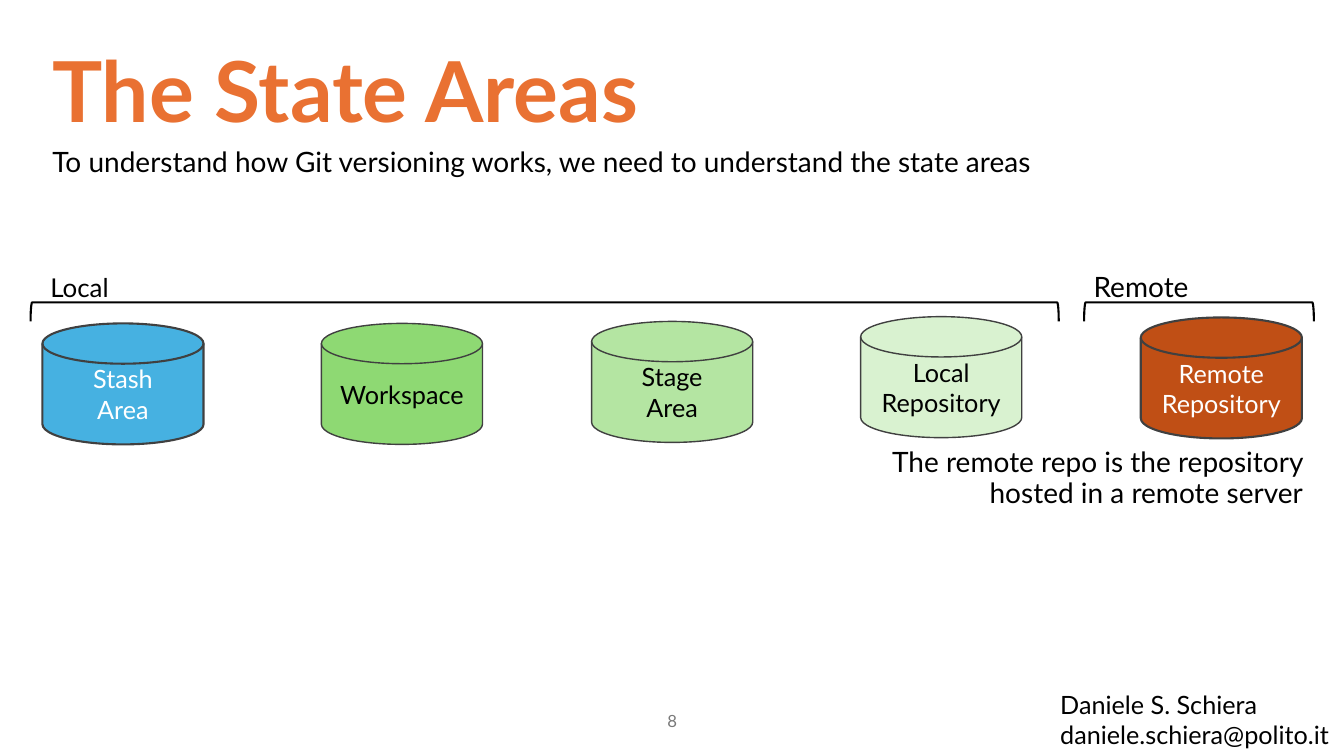
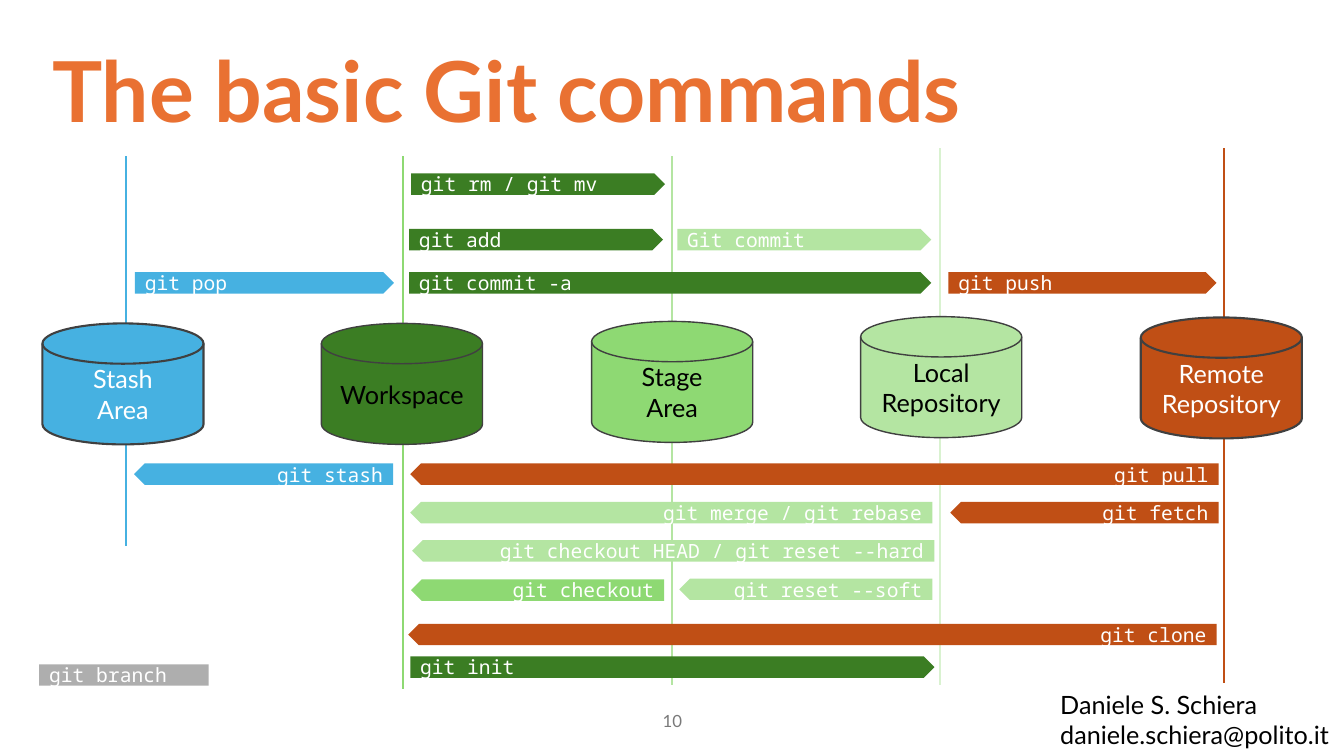
from lxml.etree import SubElement
from pptx import Presentation
from pptx.dml.color import RGBColor
from pptx.enum.shapes import MSO_CONNECTOR, MSO_SHAPE
from pptx.enum.text import MSO_ANCHOR, PP_ALIGN
from pptx.oxml.ns import qn
from pptx.util import Cm, Pt

# Colours
ORANGE = RGBColor(0xE9, 0x71, 0x32)
BLACK = RGBColor(0x00, 0x00, 0x00)
WHITE = RGBColor(0xFF, 0xFF, 0xFF)
GREY = RGBColor(0x79, 0x79, 0x79)
SILVER = RGBColor(0xAE, 0xAE, 0xAE)
CHARCOAL = RGBColor(0x40, 0x40, 0x40)
BLUE = RGBColor(0x46, 0xB1, 0xE1)
RUST = RGBColor(0xC0, 0x4F, 0x15)
DARK_GREEN = RGBColor(0x3B, 0x7D, 0x23)
GREEN = RGBColor(0x8E, 0xD9, 0x73)
LIGHT_GREEN = RGBColor(0xB4, 0xE5, 0xA2)
PALE_GREEN = RGBColor(0xD9, 0xF2, 0xD0)

# State areas: label, left, top, text colour, outline width
AREAS = [
    ("Stash\nArea", 1.07, 8.15, WHITE, 1.5),
    ("Workspace", 8.1, 8.15, BLACK, 1),
    ("Stage\nArea", 14.91, 8.1, BLACK, 1),
    ("Local\nRepository", 21.69, 7.98, BLACK, 1),
    ("Remote\nRepository", 28.75, 8, WHITE, 1.5),
]

# Lifelines: x, top, bottom, colour
LIFELINES = [
    (16.94, 3.94, 17.25, LIGHT_GREEN),
    (3.18, 3.94, 13.77, BLUE),
    (10.16, 3.94, 17.35, GREEN),
    (30.84, 3.73, 17.22, RUST),
    (23.7, 3.73, 17.25, PALE_GREEN),
]

# Commands: text, left, top, width, colour
FORWARD_COMMANDS = [
    ("git add", 10.31, 5.77, 6.4, DARK_GREEN),
    ("git rm / git mv", 10.36, 4.37, 6.4, DARK_GREEN),
    ("Git commit", 17.07, 5.77, 6.4, LIGHT_GREEN),
    ("git commit -a", 10.31, 6.86, 13.16, DARK_GREEN),
    ("git push", 23.9, 6.86, 6.76, RUST),
    ("git pop", 3.4, 6.86, 6.53, BLUE),
    ("git init", 10.34, 16.54, 13.21, DARK_GREEN),
]
BACKWARD_COMMANDS = [
    ("git fetch", 23.95, 12.65, 6.76, RUST),
    ("git pull", 10.34, 11.68, 20.37, RUST),
    ("git merge / git rebase", 10.34, 12.65, 13.16, LIGHT_GREEN),
    ("git checkout HEAD / git reset --hard", 10.39, 13.61, 13.16, LIGHT_GREEN),
    ("git reset --soft", 17.12, 14.58, 6.38, LIGHT_GREEN),
    ("git checkout", 10.36, 14.6, 6.38, GREEN),
    ("git stash", 3.38, 11.68, 6.53, BLUE),
    ("git clone", 10.29, 15.72, 20.37, RUST),
]


class Lecture:
    """Holds the deck style and the slide being filled."""

    font = "Lato"
    code_font = "Noto Sans Mono"

    def __init__(self):
        self.deck = Presentation()
        self.deck.slide_width = Cm(33.87)
        self.deck.slide_height = Cm(19.05)
        self.page = None

    def new_page(self):
        self.page = self.deck.slides.add_slide(self.deck.slide_layouts[6])

    def set_text(self, shape, text, size, color, align=PP_ALIGN.LEFT,
                 anchor=MSO_ANCHOR.TOP, font=font, bold=False, spacing=1.0):
        frame = shape.text_frame
        frame.word_wrap = True
        frame.vertical_anchor = anchor
        frame.text = text
        for paragraph in frame.paragraphs:
            paragraph.alignment = align
            paragraph.line_spacing = spacing
            paragraph.font.name = font
            paragraph.font.size = Pt(size)
            paragraph.font.bold = bold
            paragraph.font.color.rgb = color

    def text(self, text, left, top, width, height, size=20, color=BLACK, **style):
        box = self.page.shapes.add_textbox(Cm(left), Cm(top), Cm(width), Cm(height))
        self.set_text(box, text, size, color, **style)

    def frame(self, title, number):
        """Title, contact and page number."""
        self.text(title, 1.07, 1.09, 30.73, 2.64, 60, ORANGE, bold=True,
                  anchor=MSO_ANCHOR.MIDDLE, spacing=0.9)
        self.text("Daniele S. Schiera\ndaniele.schiera@polito.it",
                  26.47, 17.25, 7.42, 1.8, 18)
        self.text(str(number), 16.31, 17.65, 1.27, 1.02, 12, GREY,
                  align=PP_ALIGN.CENTER, anchor=MSO_ANCHOR.MIDDLE)

    def shape(self, kind, left, top, width, height, fill=None, line=None, weight=1):
        shape = self.page.shapes.add_shape(
            kind, Cm(left), Cm(top), Cm(width), Cm(height))
        shape.shadow.inherit = False
        if fill is None:
            shape.fill.background()
        else:
            shape.fill.solid()
            shape.fill.fore_color.rgb = fill
        if line is None:
            shape.line.fill.background()
        else:
            shape.line.color.rgb = line
            shape.line.width = Pt(weight)
        return shape

    def areas(self, fills):
        for (label, left, top, ink, weight), fill in zip(AREAS, fills):
            disk = self.shape(MSO_SHAPE.FLOWCHART_MAGNETIC_DISK, left, top,
                              4.06, 3.05, fill, CHARCOAL, weight)
            self.set_text(disk, label, 18, ink, PP_ALIGN.CENTER, MSO_ANCHOR.MIDDLE)

    def bracket(self, left, right, top=7.62, depth=0.48):
        """A bracket lying on its side, open downwards."""
        span = right - left
        bracket = self.shape(
            MSO_SHAPE.LEFT_BRACKET, (left + right - depth) / 2,
            top + (depth - span) / 2, depth, span, line=BLACK, weight=1.5)
        bracket.rotation = 90

    def lifeline(self, x, top, bottom, color):
        line = self.page.shapes.add_connector(
            MSO_CONNECTOR.STRAIGHT, Cm(x), Cm(top), Cm(x), Cm(bottom))
        line.line.color.rgb = color
        line.line.width = Pt(1.5)
        SubElement(line._element.spPr, qn("a:effectLst"))

    def command(self, text, left, top, width, fill, backward=False):
        arrow = self.shape(MSO_SHAPE.PENTAGON, left, top, width, 0.54, fill)
        if backward:
            arrow._element.spPr.xfrm.set("flipH", "1")
        self.set_text(arrow, text, 14, WHITE,
                      PP_ALIGN.RIGHT if backward else PP_ALIGN.LEFT,
                      MSO_ANCHOR.MIDDLE, self.code_font)
        return arrow


def state_areas(lecture):
    lecture.new_page()
    lecture.frame("The State Areas", 8)
    lecture.text("To understand how Git versioning works, we need to understand "
                 "the state areas", 1.07, 3.61, 31.75, 2.64, spacing=0.9)
    lecture.areas([BLUE, GREEN, LIGHT_GREEN, PALE_GREEN, RUST])
    # Local and remote groups
    lecture.bracket(0.77, 26.68)
    lecture.text("Local", 1.02, 6.86, 8.76, 0.94, 18.5, spacing=0.8)
    lecture.bracket(27.32, 33.11)
    lecture.text("Remote", 27.31, 6.83, 5.79, 0.99, spacing=0.8)
    lecture.text("The remote repo is the repository hosted in a remote server",
                 21.69, 11.18, 11.4, 3.58, align=PP_ALIGN.RIGHT, spacing=0.9)


def basic_commands(lecture):
    lecture.new_page()
    for lifeline in LIFELINES:
        lecture.lifeline(*lifeline)
    lecture.frame("The basic Git commands", 10)
    lecture.areas([BLUE, DARK_GREEN, GREEN, LIGHT_GREEN, RUST])
    # Commands between the areas
    for command in FORWARD_COMMANDS:
        lecture.command(*command)
    for command in BACKWARD_COMMANDS:
        lecture.command(*command, backward=True)
    # Square-ended bar
    branch = lecture.command("git branch", 0.99, 16.74, 4.27, SILVER)
    branch.adjustments[0] = 0


def main():
    lecture = Lecture()
    state_areas(lecture)
    basic_commands(lecture)
    lecture.deck.save("out.pptx")


if __name__ == "__main__":
    main()
